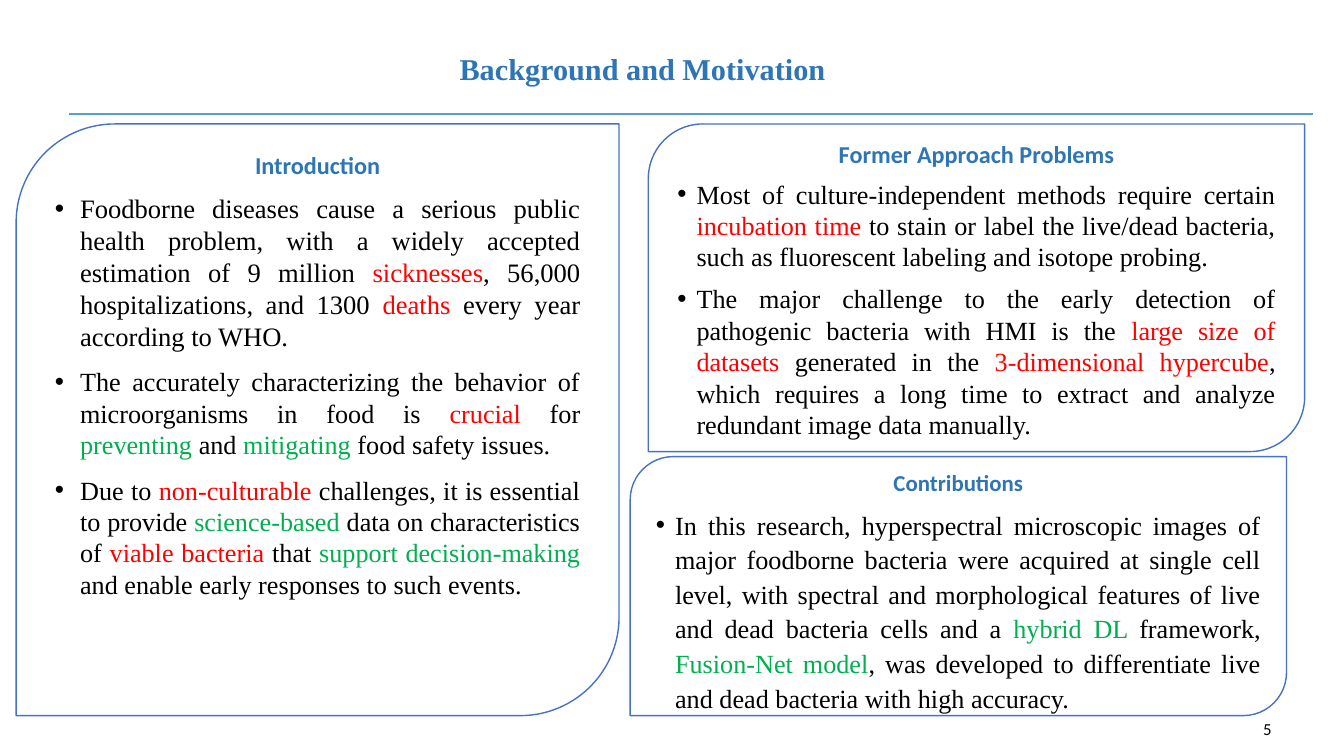
import pptx
import pptx.util
import pptx.dml.color
import pptx.enum.shapes
import pptx.enum.text
import lxml.etree
from pptx.util import Inches

COLORS = {"heading": "2E75B6", "black": "000000", "red": "FF0000", "green": "00B050",
          "border": "4472C4", "rule": "5B9BD5", "white": "FFFFFF"}
ALIGN = pptx.enum.text.PP_ALIGN
ANCHOR = pptx.enum.text.MSO_ANCHOR


def rgb(name):
    return pptx.dml.color.RGBColor.from_string(COLORS[name])


def add_run(p, text, size, font, color, bold=False):
    r = p.add_run()
    r.text = text
    r.font.size = pptx.util.Pt(size)
    r.font.name = font
    r.font.bold = bold
    r.font.color.rgb = rgb(color)


prs = pptx.Presentation()
prs.slide_width = Inches(13.33)
prs.slide_height = Inches(7.5)
s = prs.slides.add_slide(prs.slide_layouts[6])

labels = [
    ("Background and Motivation", (4.46, 0.37, 4.21, 0.62), ALIGN.LEFT, 21.6, "Times New Roman", "heading", True),
    ("5", (12.34, 7.03, 0.37, 0.4), ALIGN.RIGHT, 12, "Calibri", "black", False),
]
for text, box, align, size, font, color, bold in labels:
    tf = s.shapes.add_textbox(*map(Inches, box)).text_frame
    tf.word_wrap = True
    tf.vertical_anchor = ANCHOR.MIDDLE
    tf.paragraphs[0].alignment = align
    add_run(tf.paragraphs[0], text, size, font, color, bold)

rule = s.shapes.add_connector(pptx.enum.shapes.MSO_CONNECTOR.STRAIGHT,
                              Inches(0.68), Inches(1.13), Inches(13.02), Inches(1.13))
rule.line.color.rgb = rgb("rule")
rule.line.width = pptx.util.Pt(1.5)
lxml.etree.SubElement(rule._element.spPr, pptx.oxml.ns.qn("a:effectLst"))

panels = [
    {"title": "Introduction", "title_size": 17.3, "box": (0.16, 1.23, 5.98, 5.87),
     "inset": (0.1, 0.05), "indent": 0.25, "before": 10, "spacing": 1.0,
     "bullets": [
         (19, [("Foodborne diseases cause a serious public health problem, with a widely accepted "
                "estimation of 9 million ", "black"),
               ("sicknesses", "red"), (", 56,000 hospitalizations, and 1300 ", "black"),
               ("deaths", "red"), (" every year according to WHO.", "black")]),
         (18.7, [("The accurately characterizing the behavior of microorganisms in food is ", "black"),
                 ("crucial", "red"), (" for ", "black"), ("preventing", "green"), (" and ", "black"),
                 ("mitigating", "green"), (" food safety issues.", "black")]),
         (18.7, [("Due to ", "black"), ("non-culturable", "red"),
                 (" challenges, it is essential to provide ", "black"), ("science-based", "green"),
                 (" data on characteristics of ", "black"), ("viable bacteria ", "red"),
                 ("that ", "black"), ("support decision-making ", "green"),
                 ("and enable early responses to such events.", "black")]),
     ]},
    {"title": "Former Approach Problems", "title_size": 17.3, "box": (6.43, 1.23, 6.51, 3.25),
     "inset": (0.13, 0.07), "indent": 0.19, "before": 7.5, "spacing": 1.0,
     "bullets": [
         (18.7, [("Most of culture-independent methods require certain ", "black"),
                 ("incubation time ", "red"),
                 ("to stain or label the live/dead bacteria, such as fluorescent labeling and "
                  "isotope probing.", "black")]),
         (18.7, [("The major challenge to the early detection of pathogenic bacteria with HMI is the ", "black"),
                 ("large size of datasets ", "red"), ("generated in the ", "black"),
                 ("3-dimensional hypercube", "red"),
                 (", which requires a long time to extract and analyze redundant image data "
                  "manually.", "black")]),
     ]},
    {"title": "Contributions", "title_size": 16.3, "box": (6.25, 4.53, 6.51, 2.57),
     "inset": (0.13, 0.07), "indent": 0.19, "before": 7.5, "spacing": 1.1,
     "bullets": [
         (18.7, [("In this research, hyperspectral microscopic images of major foodborne bacteria were "
                  "acquired at single cell level, with spectral and morphological features of live and "
                  "dead bacteria cells and a ", "black"),
                 ("hybrid DL ", "green"), ("framework, ", "black"), ("Fusion-Net model", "green"),
                 (", was developed to differentiate live and dead bacteria with high accuracy.", "black")]),
     ]},
]

for panel in panels:
    sp = s.shapes.add_shape(pptx.enum.shapes.MSO_SHAPE.ROUND_2_DIAG_RECTANGLE,
                            *map(Inches, panel["box"]))
    sp.shadow.inherit = False
    sp.fill.solid()
    sp.fill.fore_color.rgb = rgb("white")
    sp.line.color.rgb = rgb("border")
    sp.line.width = pptx.util.Pt(1)
    tf = sp.text_frame
    tf.word_wrap = True
    tf.vertical_anchor = ANCHOR.TOP
    tf.margin_left = tf.margin_right = Inches(panel["inset"][0])
    tf.margin_top = tf.margin_bottom = Inches(panel["inset"][1])
    p = tf.paragraphs[0]
    p.alignment = ALIGN.CENTER
    p.line_spacing = 0.7
    add_run(p, panel["title"], panel["title_size"], "Calibri", "heading", True)
    for size, runs in panel["bullets"]:
        p = tf.add_paragraph()
        p.alignment = ALIGN.JUSTIFY
        p.line_spacing = panel["spacing"]
        p.space_before = pptx.util.Pt(panel["before"])
        pPr = p._p.get_or_add_pPr()
        pPr.set("marL", str(Inches(panel["indent"])))
        pPr.set("indent", str(-Inches(panel["indent"])))
        lxml.etree.SubElement(pPr, pptx.oxml.ns.qn("a:buFont")).set("typeface", "Arial")
        lxml.etree.SubElement(pPr, pptx.oxml.ns.qn("a:buChar")).set("char", "•")
        for text, color in runs:
            add_run(p, text, size, "Times New Roman", color)

prs.save("out.pptx")
